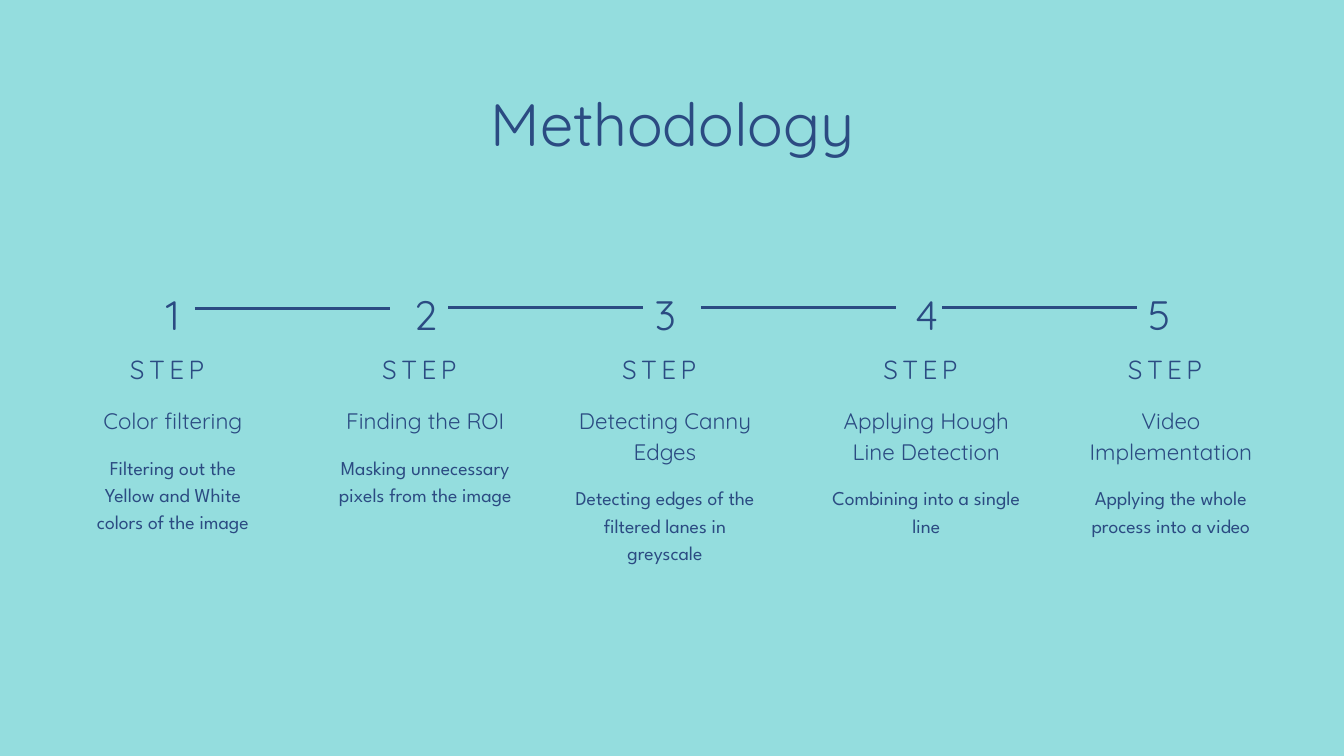
from dataclasses import dataclass

from lxml.etree import SubElement
from pptx import Presentation
from pptx.dml.color import RGBColor
from pptx.enum.shapes import MSO_CONNECTOR as Connector
from pptx.enum.text import MSO_AUTO_SIZE as AutoSize, PP_ALIGN as Align
from pptx.oxml.ns import qn
from pptx.util import Cm, Pt


@dataclass(frozen=True)
class Theme:
    """Colours, fonts and type sizes of the slide."""
    background: RGBColor = RGBColor(0x94, 0xDD, 0xDE)
    ink: RGBColor = RGBColor(0x2B, 0x4B, 0x82)
    display_font: str = "Quicksand"
    body_font: str = "League Spartan"
    title: int = 64
    number: int = 44
    step: int = 28
    heading: int = 24
    body: int = 21


theme = Theme()
deck = Presentation()
deck.slide_width, deck.slide_height = Cm(50.8), Cm(28.58)
page = deck.slides.add_slide(deck.slide_layouts[6])
page.background.fill.solid()
page.background.fill.fore_color.rgb = theme.background


def add_text(text, left, top, width, height, *, size, font=theme.display_font,
             leading=1.4, tracking=0):
    """Add a centred text box; lengths in centimetres, tracking in points."""
    box = page.shapes.add_textbox(Cm(left), Cm(top), Cm(width), Cm(height))
    frame = box.text_frame
    frame.margin_left = frame.margin_right = 0
    frame.margin_top = frame.margin_bottom = 0
    frame.word_wrap = True
    frame.auto_size = AutoSize.SHAPE_TO_FIT_TEXT
    para = frame.paragraphs[0]
    para.alignment = Align.CENTER
    para.line_spacing = Pt(size * leading)
    span = para.add_run()
    span.text = text
    span.font.name = font
    span.font.size = Pt(size)
    span.font.color.rgb = theme.ink
    if tracking:
        span.font._element.set("spc", str(round(tracking * 100)))


add_text("Methodology", 3, 3.28, 44.83, 2.74, size=theme.title, leading=1.2)

# Column left and width, number left, heading and its line count, body and its line count
steps = [
    (3.12, 6.83, 5.69, "Color filtering", 1,
     "Filtering out the Yellow and White colors of the image", 3),
    (12.73, 6.68, 15.24, "Finding the ROI", 1,
     "Masking unnecessary pixels from the image", 3),
    (21.72, 6.83, 24.31, "Detecting Canny Edges", 2,
     "Detecting edges of the filtered lanes in greyscale", 3),
    (31.29, 7.44, 34.19, "Applying Hough Line Detection", 2,
     "Combining into a single line", 2),
    (40.84, 6.83, 42.98, "Video Implementation", 2,
     "Applying the whole process into a video", 2),
]
heading_top, heading_line, body_line, gap = 15.21, 1.17, 1.01, 0.69

for number, (left, width, number_left, heading, heading_lines, body,
             body_lines) in enumerate(steps, start=1):
    heading_height = heading_lines * heading_line
    add_text(str(number), number_left, 10.62, 1.68, 2.08,
             size=theme.number, tracking=7.5)
    # The tracked trailing space belongs to the label and sets its centring
    add_text("STEP ", left, 13.18, width, 1.3, size=theme.step, tracking=4.8)
    add_text(heading, left, heading_top, width, heading_height, size=theme.heading)
    add_text(body, left, heading_top + heading_height + gap, width,
             body_lines * body_line, size=theme.body, font=theme.body_font)

line_length = 7.36
for start, height in [(7.37, 11.66), (16.94, 11.63), (26.49, 11.63), (35.61, 11.63)]:
    link = page.shapes.add_connector(Connector.STRAIGHT, Cm(start), Cm(height),
                                     Cm(start + line_length), Cm(height))
    link.line.color.rgb = theme.ink
    link.line.width = Pt(3)
    SubElement(link._element.spPr, qn("a:effectLst"))

deck.save("out.pptx")
